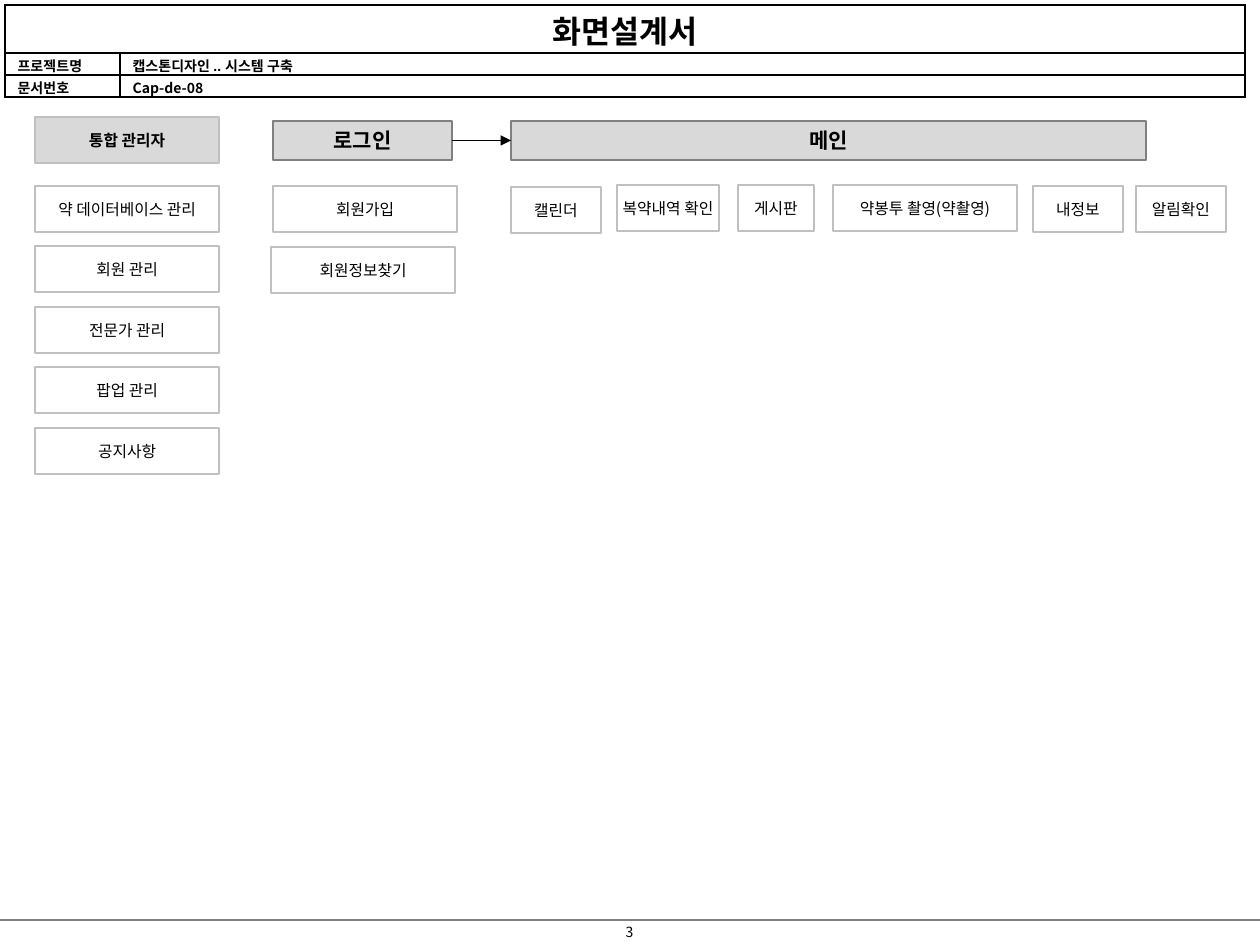
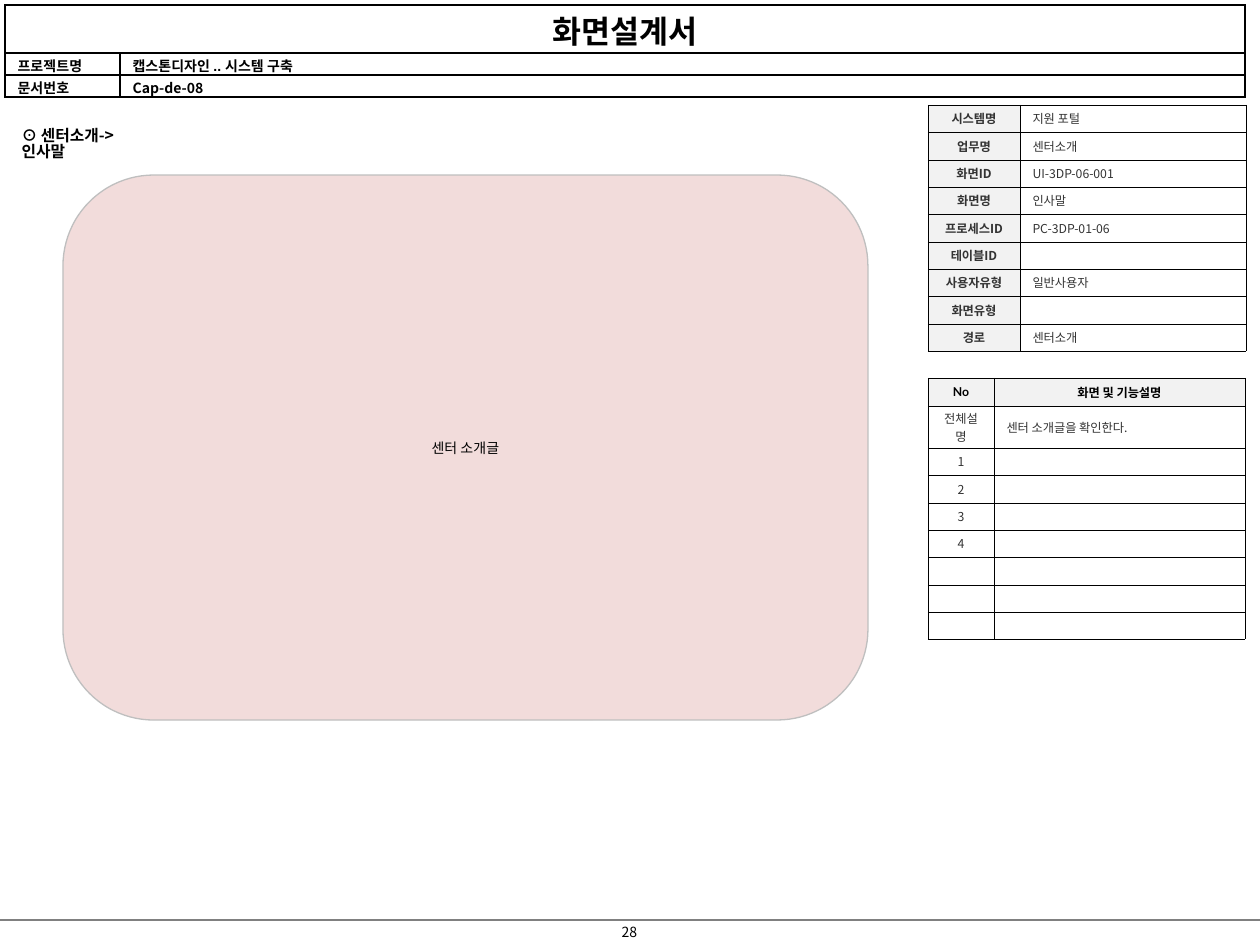
from lxml.etree import SubElement
from pptx import Presentation
from pptx.dml.color import RGBColor
from pptx.enum.shapes import MSO_CONNECTOR, MSO_SHAPE
from pptx.enum.text import MSO_ANCHOR, MSO_AUTO_SIZE, PP_ALIGN
from pptx.oxml.ns import qn
from pptx.util import Pt

EMU_PER_PX = 914400 / 126
KOREAN = "Noto Sans CJK KR"
COLORS = {
    "black": "000000",
    "ink": "333333",
    "rule": "808080",
    "edge": "C0C0C0",
    "panel_edge": "BFBFBF",
    "head": "D9D9D9",
    "label": "F2F2F2",
    "panel": "F2DCDB",
    "white": "FFFFFF",
}
LEFT, CENTER = PP_ALIGN.LEFT, PP_ALIGN.CENTER
TITLE_ONLY, BLANK = 5, 6


def px(*lengths):
    return [round(length * EMU_PER_PX) for length in lengths]


def rgb(name):
    return RGBColor.from_string(COLORS[name])


class Designer:
    def __init__(self):
        self.deck = Presentation()
        self.deck.slide_width, self.deck.slide_height = px(1260, 945)
        self.page = None

    def new_page(self, number, layout):
        self.page = self.deck.slides.add_slide(self.deck.slide_layouts[layout])
        self.line((0, 920), (1260, 920), "rule")
        self.text_box((595, 917, 69, 30), str(number), size=8, align=CENTER)
        self.table((5, 5), (115, 1125), (48, 22, 22), HEADER, header_style,
                   border=1, merge_first_row=True)

    def set_text(self, frame, text, size=9, bold=False, color="black",
                 align=CENTER, font=KOREAN):
        frame.text = text
        para = frame.paragraphs[0]
        para.alignment = align
        for span in para.runs:
            span.font.size = Pt(size)
            span.font.bold = bold
            span.font.name = font
            span.font.color.rgb = rgb(color)
            SubElement(span.font._element, qn("a:ea"), typeface=KOREAN)
        if not text:
            SubElement(para._p, qn("a:endParaRPr"), sz=str(size * 100))

    def title(self, place, text):
        heading = self.page.shapes.title
        heading.left, heading.top, heading.width, heading.height = px(*place)
        frame = heading.text_frame
        frame.word_wrap = True
        frame.auto_size = MSO_AUTO_SIZE.NONE
        frame.vertical_anchor = MSO_ANCHOR.TOP
        self.set_text(frame, text, bold=True, align=LEFT)
        frame.paragraphs[0].line_spacing = 0.83

    def text_box(self, place, text, **style):
        box = self.page.shapes.add_textbox(*px(*place))
        box.text_frame.word_wrap = True
        self.set_text(box.text_frame, text, **style)

    def box(self, place, text, fill="white", edge="edge",
            kind=MSO_SHAPE.RECTANGLE, **style):
        box = self.page.shapes.add_shape(kind, *px(*place))
        box.shadow.inherit = False
        box.fill.solid()
        box.fill.fore_color.rgb = rgb(fill)
        box.line.color.rgb = rgb(edge)
        box.line.width = Pt(0.75)
        box.text_frame.word_wrap = False
        box.text_frame.vertical_anchor = MSO_ANCHOR.MIDDLE
        self.set_text(box.text_frame, text, **style)
        return box

    def line(self, start, end, color):
        line = self.page.shapes.add_connector(
            MSO_CONNECTOR.STRAIGHT, *px(*start, *end))
        line.line.color.rgb = rgb(color)
        line.line.width = Pt(0.75)
        SubElement(line._element.spPr, qn("a:effectLst"))
        return line

    def arrow(self, source, target):
        arrow = self.line((0, 0), (0, 0), "black")
        arrow.begin_connect(source, 3)
        arrow.end_connect(target, 1)
        outline = arrow._element.spPr.find(qn("a:ln"))
        SubElement(outline, qn("a:tailEnd"), type="triangle")

    def table(self, corner, widths, heights, texts, style, border,
              merge_first_row=False):
        table = self.page.shapes.add_table(
            len(heights), len(widths),
            *px(*corner, sum(widths), sum(heights))).table
        table.first_row = table.horz_banding = False
        for column, width in zip(table.columns, px(*widths)):
            column.width = width
        for row, height in zip(table.rows, px(*heights)):
            row.height = height
        if merge_first_row:
            table.cell(0, 0).merge(table.cell(0, len(widths) - 1))
        for r, row_texts in enumerate(texts):
            for c, text in enumerate(row_texts):
                self.cell(table.cell(r, c), text, border, **style(r, c))

    def cell(self, cell, text, border, fill=None, anchor=MSO_ANCHOR.MIDDLE,
             margins=(3, 3), **style):
        cell.margin_top, cell.margin_bottom = px(*margins)
        cell.vertical_anchor = anchor
        if fill:
            cell.fill.solid()
            cell.fill.fore_color.rgb = rgb(fill)
        else:
            cell.fill.background()
        properties = cell._tc.get_or_add_tcPr()
        for index, side in enumerate(("lnL", "lnR", "lnT", "lnB")):
            edge = SubElement(properties, qn(f"a:{side}"), w=str(int(Pt(border))))
            solid = SubElement(edge, qn("a:solidFill"))
            SubElement(solid, qn("a:srgbClr"), val=COLORS["black"])
            properties.insert(index, edge)
        self.set_text(cell.text_frame, text, **style)


HEADER = [
    ("화면설계서", ""),
    ("프로젝트명", "캡스톤디자인 .. 시스템 구축"),
    ("문서번호", "Cap-de-08"),
]
ADMIN_MENU = ["약 데이터베이스 관리", "회원 관리", "전문가 관리", "팝업 관리", "공지사항"]
LOGIN_MENU = [(273, 186, "회원가입"), (271, 247, "회원정보찾기")]
MAIN_MENU = [
    (511, 187, 90, "캘린더"),
    (617, 185, 102, "복약내역 확인"),
    (738, 185, 76, "게시판"),
    (833, 185, 184, "약봉투 촬영(약촬영)"),
    (1033, 186, 90, "내정보"),
    (1136, 186, 90, "알림확인"),
]
SCREEN_INFO = [
    ("시스템명", "지원 포털"),
    ("업무명", "센터소개"),
    ("화면ID", "UI-3DP-06-001"),
    ("화면명", "인사말"),
    ("프로세스ID", "PC-3DP-01-06"),
    ("테이블ID", ""),
    ("사용자유형", "일반사용자"),
    ("화면유형", ""),
    ("경로", "센터소개"),
]
FUNCTIONS = [
    ("No", "화면 및 기능설명"),
    ("전체설명", "센터 소개글을 확인한다."),
    *[(str(number), "") for number in range(1, 5)],
    *[("", "")] * 3,
]
BOX_WIDTH, BOX_HEIGHT = 184, 46


def header_style(r, c):
    top = r == 0
    return dict(fill="white", anchor=MSO_ANCHOR.TOP, margins=(2, 0),
                size=18 if top else 8, bold=True,
                align=CENTER if top else LEFT,
                font=KOREAN if top or (r, c) == (2, 1) else "Arial")


def info_style(r, c):
    label = c == 0
    return dict(fill="label" if label else None, size=7, bold=label,
                color="ink", align=CENTER if label else LEFT)


def function_style(r, c):
    if r == 0:
        return dict(fill="label", size=7, bold=True,
                    font=("Lato", "Arial")[c])
    return dict(size=7, color="ink", align=(CENTER, LEFT)[c])


def screen_map(design):
    design.new_page(3, BLANK)
    design.box((35, 117, BOX_WIDTH, BOX_HEIGHT), "통합 관리자", fill="head",
               bold=True)
    for index, name in enumerate(ADMIN_MENU):
        top = 186 + index * 121 // 2
        design.box((35, top, BOX_WIDTH, BOX_HEIGHT), name)
    login, main_screen = [
        design.box((left, 121, width, 39), name, fill="head", edge="rule",
                   size=12, bold=True)
        for left, width, name in ((273, 179, "로그인"), (511, 635, "메인"))
    ]
    design.arrow(login, main_screen)
    for left, top, name in LOGIN_MENU:
        design.box((left, top, BOX_WIDTH, BOX_HEIGHT), name)
    for left, top, width, name in MAIN_MENU:
        design.box((left, top, width, BOX_HEIGHT), name)


def greeting_screen(design):
    design.new_page(28, TITLE_ONLY)
    design.title((9, 123, 150, 50), "⊙ 센터소개->인사말")
    design.table((928, 378), (66, 251), [28, 42] + [27, 28, 27] * 2 + [27],
                 FUNCTIONS, function_style, border=0.25)
    design.table((928, 105), (92, 226), [27, 28, 27] * 3,
                 SCREEN_INFO, info_style, border=0.25)
    design.box((63, 175, 805, 545), "센터 소개글", fill="panel",
               edge="panel_edge", kind=MSO_SHAPE.FLOWCHART_ALTERNATE_PROCESS,
               size=8, font="Arial")


def main():
    design = Designer()
    screen_map(design)
    greeting_screen(design)
    design.deck.save("out.pptx")


if __name__ == "__main__":
    main()
